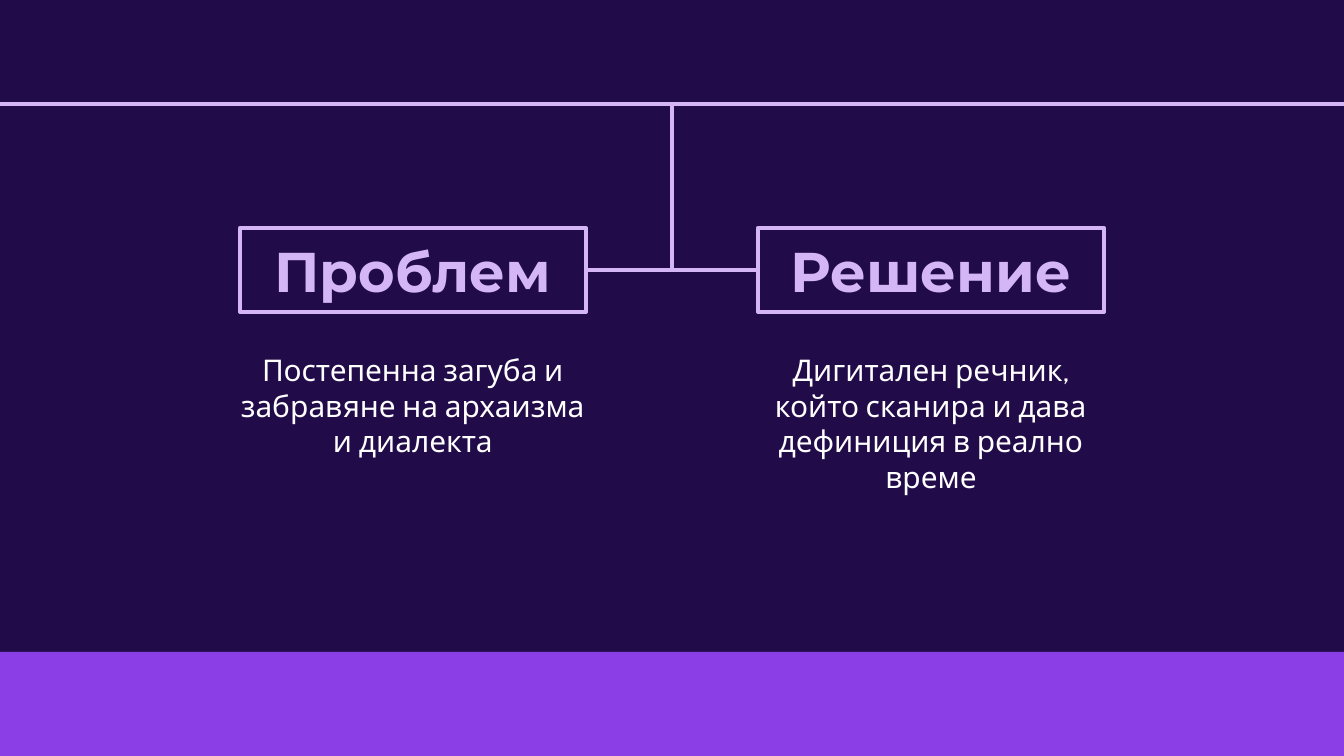
import pptx
import pptx.dml.color
import pptx.enum.shapes
import pptx.enum.text
import pptx.oxml.ns
import pptx.util
from lxml import etree

RGB = pptx.dml.color.RGBColor
NIGHT = RGB(0x22, 0x0B, 0x49)
LILAC = RGB(0xD4, 0xB6, 0xF6)
VIOLET = RGB(0x8C, 0x3E, 0xE6)
WHITE = RGB(0xFF, 0xFF, 0xFF)
RECT = pptx.enum.shapes.MSO_SHAPE.RECTANGLE
STRAIGHT = pptx.enum.shapes.MSO_CONNECTOR.STRAIGHT
TOP, MIDDLE = pptx.enum.text.MSO_ANCHOR.TOP, pptx.enum.text.MSO_ANCHOR.MIDDLE
W, H = 1344, 756
COLUMNS = [
    ("Проблем", "Постепенна загуба и забравяне на архаизма и диалекта"),
    ("Решение", "Дигитален речник, който сканира и дава дефиниция в реално време"),
]


def px(n):
    """Turn slide pixels into EMU."""
    return pptx.util.Emu(round(n * 914400 / 134.4))


def place(sp, x, y, w, h):
    """Move and size a shape in pixels."""
    sp.left, sp.top, sp.width, sp.height = px(x), px(y), px(w), px(h)


def write(sp, text, font, size, color, bold, anchor):
    """Fill a shape with one centred paragraph."""
    tf = sp.text_frame
    tf.text = text
    tf.word_wrap = True
    tf.auto_size = pptx.enum.text.MSO_AUTO_SIZE.NONE
    tf.vertical_anchor = anchor
    tf.margin_left = tf.margin_right = pptx.util.Inches(0.1)
    tf.margin_top = tf.margin_bottom = pptx.util.Inches(0.1)
    p = tf.paragraphs[0]
    p.alignment = pptx.enum.text.PP_ALIGN.CENTER
    f = p.runs[0].font
    f.name, f.size, f.bold = font, pptx.util.Pt(size), bold
    f.color.rgb = color
    return p


def add_line(s, x1, y1, x2, y2):
    """Draw a lilac line."""
    c = s.shapes.add_connector(STRAIGHT, px(x1), px(y1), px(x2), px(y2))
    c.line.color.rgb = LILAC
    c.line.width = pptx.util.Pt(2.25)
    etree.SubElement(c._element.spPr, pptx.oxml.ns.qn("a:effectLst"))
    return c


def add_band(s, x, y, w, h):
    """Draw the violet band."""
    sp = s.shapes.add_shape(RECT, px(x), px(y), px(w), px(h))
    sp.shadow.inherit = False
    sp.fill.solid()
    sp.fill.fore_color.rgb = VIOLET
    sp.line.fill.background()


def add_column(s, heading, title, body, x, y, w):
    """Place a framed heading with its description below."""
    place(heading, x, y, w, 84)
    heading.fill.solid()
    heading.fill.fore_color.rgb = NIGHT
    heading.line.color.rgb = LILAC
    heading.line.width = pptx.util.Pt(2.25)
    write(heading, title, "Montserrat", 30, LILAC, True, MIDDLE)
    tb = s.shapes.add_textbox(px(x - 16), px(y + 110), px(w + 32), px(214))
    p = write(tb, body, "Cabin", 16, WHITE, False, TOP)
    p.space_after = pptx.util.Pt(16)


def add_tree(s, x, y, w):
    """Hang two columns from a full-width line."""
    box_w, box_y = 346, y + 124
    mid_x, mid_y = x + w / 2, box_y + 42
    add_line(s, 0, y, W, y)
    add_line(s, mid_x, y, mid_x, mid_y)
    second = s.shapes.add_shape(RECT, 0, 0, 0, 0)
    second.shadow.inherit = False
    headings = [s.shapes.title, second]
    lefts = [x, x + w - box_w]
    for heading, (title, body), left in zip(headings, COLUMNS, lefts):
        add_column(s, heading, title, body, left, box_y, box_w)
    link = add_line(s, x + box_w, mid_y, lefts[1], mid_y)
    link.begin_connect(headings[0], 3)
    link.end_connect(headings[1], 1)


def main():
    """Build and save the slide."""
    prs = pptx.Presentation()
    prs.slide_width, prs.slide_height = px(W), px(H)
    s = prs.slides.add_slide(prs.slide_layouts[5])
    s.background.fill.solid()
    s.background.fill.fore_color.rgb = NIGHT
    add_band(s, 0, 652, W, 104)
    add_tree(s, 240, 104, 864)
    prs.save("out.pptx")


if __name__ == "__main__":
    main()
